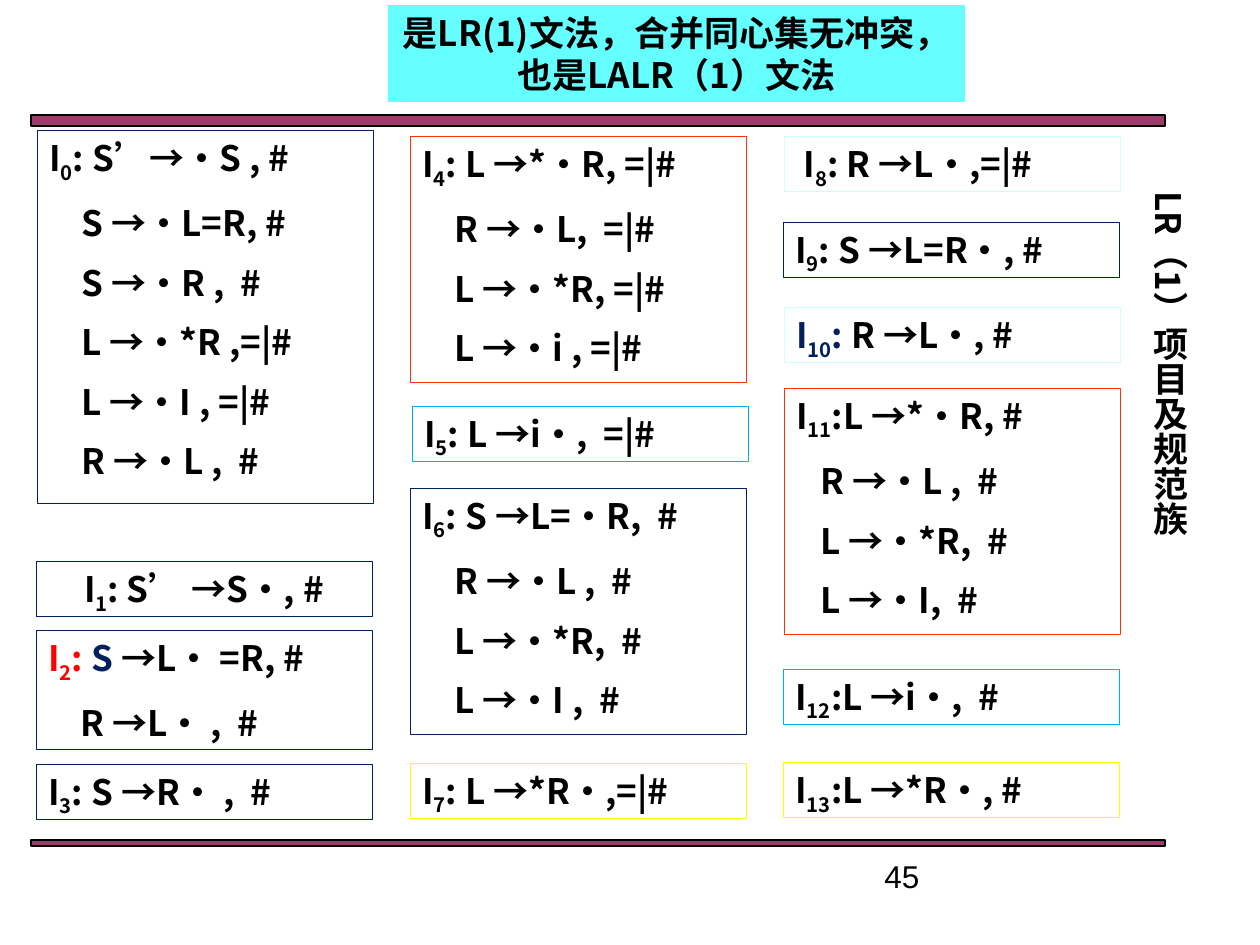
from lxml import etree
from pptx import Presentation
from pptx.dml.color import RGBColor
from pptx.enum.shapes import MSO_SHAPE
from pptx.enum.text import MSO_ANCHOR, PP_ALIGN
from pptx.oxml.ns import qn
from pptx.util import Pt

PX = 914400 // 126
RECT = MSO_SHAPE.RECTANGLE
LEFT, CENTER = PP_ALIGN.LEFT, PP_ALIGN.CENTER
TOP, MIDDLE = MSO_ANCHOR.TOP, MSO_ANCHOR.MIDDLE
FONT = "Noto Sans CJK SC"
COLORS = {
    "black": "000000", "navy": "002060", "red": "FF0000", "orange": "FF3300",
    "sky": "00B0F0", "yellow": "FFFF00", "pale": "CCFFFF", "cyan": "66FFFF",
    "plum": "993366",
}
BOX_W = 336
LINE_H = {1: 55, 2: 119, 4: 246, 6: 373}  # box height by number of items


def rgb(name):
    return RGBColor.from_string(COLORS[name])


def add_text(p, text, size=20, font=FONT, color="black", bold=True, sub=False):
    r = p.add_run()
    r.text = text
    r.font.size = Pt(size)
    r.font.bold = bold
    r.font.name = font
    r.font.color.rgb = rgb(color)
    rpr = r._r.get_or_add_rPr()
    etree.SubElement(rpr, qn("a:ea")).set("typeface", font)
    if sub:
        rpr.set("baseline", "-25000")


class Slide:
    def __init__(self, prs):
        self.slide = prs.slides.add_slide(prs.slide_layouts[6])

    def rect(self, x, y, w, h, fill=None, line=None, weight=0.25, alpha=None):
        sp = self.slide.shapes.add_shape(RECT, x * PX, y * PX, w * PX, h * PX)
        sp.shadow.inherit = False
        if fill:
            sp.fill.solid()
            sp.fill.fore_color.rgb = rgb(fill)
        else:
            sp.fill.background()
        if alpha:
            clr = sp._element.spPr.find(qn("a:solidFill"))[0]
            etree.SubElement(clr, qn("a:alpha")).set("val", str(alpha * 1000))
        if line:
            sp.line.color.rgb = rgb(line)
            sp.line.width = Pt(weight)
        else:
            sp.line.fill.background()
        sp.text_frame.word_wrap = True
        sp.text_frame.vertical_anchor = TOP
        return sp

    def textbox(self, x, y, w, h, text, align=LEFT, vertical=False, **fmt):
        sp = self.slide.shapes.add_textbox(x * PX, y * PX, w * PX, h * PX)
        tf = sp.text_frame
        tf.word_wrap = True
        if vertical:
            tf._txBody.bodyPr.set("vert", "eaVert")
        p = tf.paragraphs[0]
        p.alignment = align
        add_text(p, text, **fmt)

    def banner(self, x, y, w, h, text):
        p = self.rect(x, y, w, h, fill="cyan").text_frame.paragraphs[0]
        p.alignment = CENTER
        add_text(p, text)

    def item_set(self, x, y, line, number, first, rest=(), align=LEFT,
                 label="black", lead="", indent=32):
        """Draw one LR(1) item set; lead is a part of its first item in navy."""
        sp = self.rect(x, y, BOX_W, LINE_H[1 + len(rest)], line=line)
        tf = sp.text_frame
        p = tf.paragraphs[0]
        p.alignment = align
        add_text(p, "I", color=label)
        add_text(p, str(number), color=label, sub=True)
        add_text(p, ": " if lead else ":", color=label)
        if lead:
            add_text(p, lead, color="navy")
        add_text(p, first)
        for item in rest:
            p = tf.add_paragraph()
            p.alignment = LEFT
            p.space_before = Pt(10)
            p._p.get_or_add_pPr().set("marL", str(indent * PX))
            add_text(p, item)
        return sp


def main():
    prs = Presentation()
    prs.slide_width, prs.slide_height = 1260 * PX, 945 * PX
    s = Slide(prs)

    # Rules above and below the item sets
    for y, h in ((115, 11), (840, 6)):
        s.rect(31, y, 1134, h, fill="plum", line="black", weight=0.75, alpha=96)

    # Left column
    s.item_set(37, 130, "navy", 0, " S’→·S , #",
               ["S →·L=R, #", "S →·R ,  #", "L →·*R ,=|#", "L →·I , =|#",
                "R →·L ,  #"])
    s.item_set(36, 561, "navy", 1, " S’ →S·, #", align=CENTER)
    s.item_set(36, 630, "navy", 2, " →L· =R, #", ["R →L· ,  #"],
               label="red", lead="S")
    s.item_set(36, 764, "navy", 3, " S →R· ,  #")

    # Middle column
    s.item_set(410, 136, "orange", 4, " L →*·R, =|#",
               ["R →·L,  =|#", "L →·*R, =|#", "L →·i , =|#"])
    s.item_set(412, 406, "sky", 5, " L →i·,  =|#")
    s.item_set(410, 488, "navy", 6, " S →L=·R,  #",
               ["R →·L ,  #", "L →·*R,  #", "L →·I ,  #"])
    s.item_set(410, 763, "yellow", 7, " L →*R·,=|#")

    # Right column
    sp = s.item_set(784, 136, "pale", 8, " R →L·,=|#")
    sp.text_frame.margin_left = 20 * PX
    s.item_set(783, 222, "navy", 9, " S →L=R·, #")
    s.item_set(784, 307, "pale", 10, " R →L·, #", label="navy")
    s.item_set(784, 388, "orange", 11, "L →*·R, #",
               ["R →·L ,  #", "L →·*R,  #", "L →·I,  #"], indent=24)
    s.item_set(783, 669, "sky", 12, "L →i·,  #")
    s.item_set(783, 762, "yellow", 13, "L →*R·, #")

    # Title, side heading and page number
    s.banner(388, 5, 577, 97, "是LR(1)文法，合并同心集无冲突，也是LALR（1）文法")
    s.textbox(1086, 179, 111, 535, "LR（1）项目及规范族", align=CENTER, vertical=True)
    s.textbox(872, 851, 294, 34, "45", size=18, font="Arial", bold=False)

    prs.save("out.pptx")


if __name__ == "__main__":
    main()
